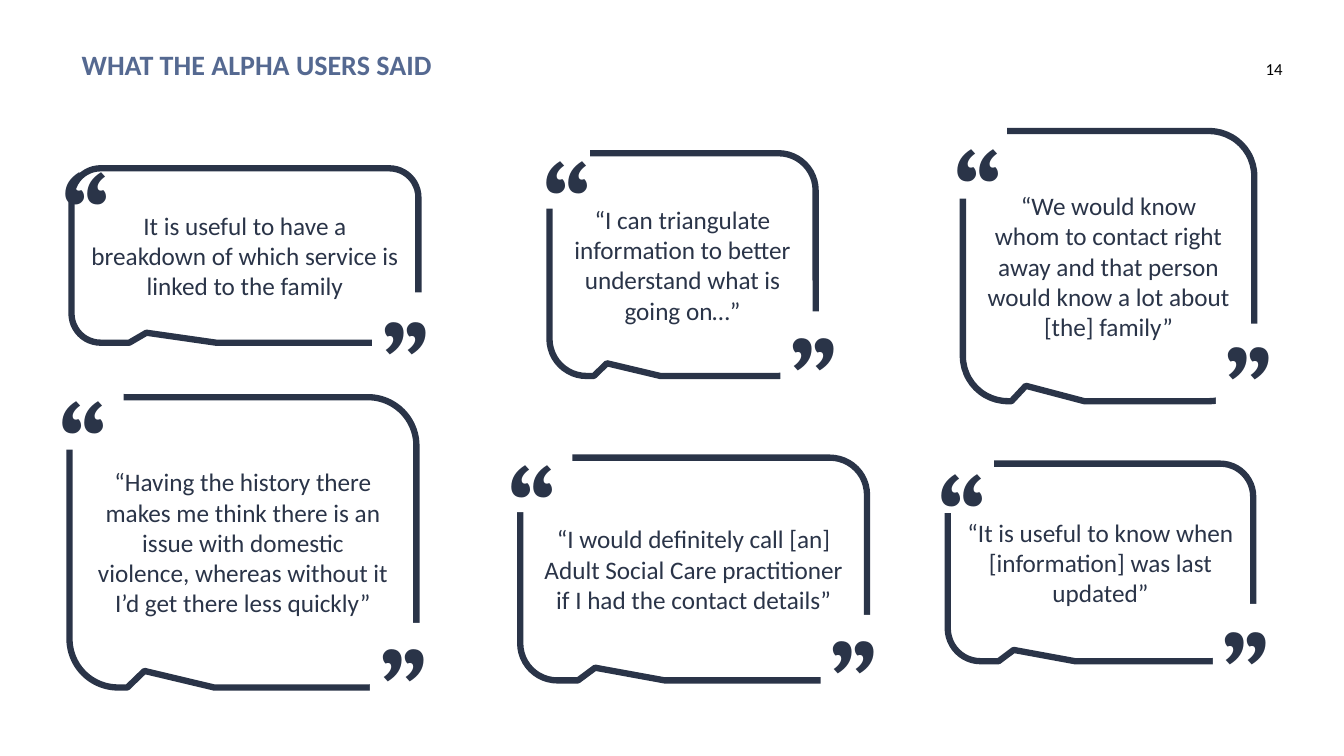
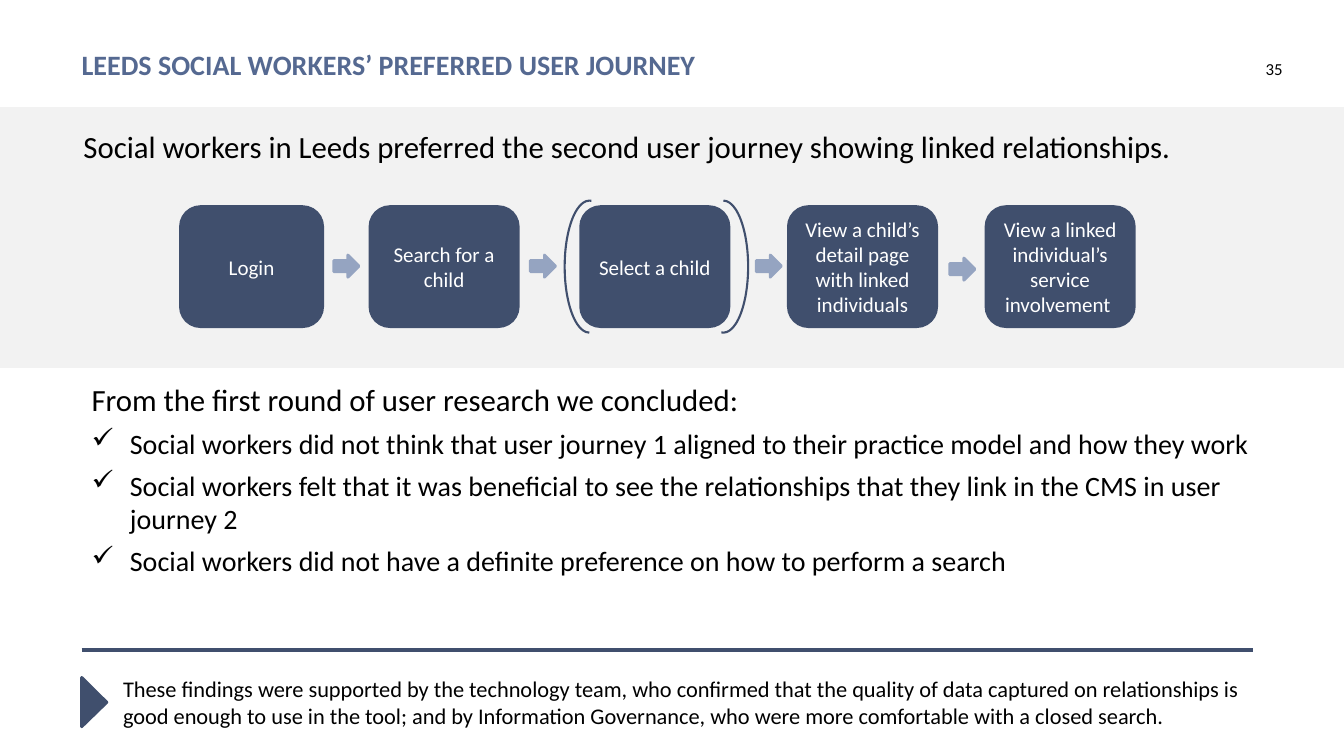
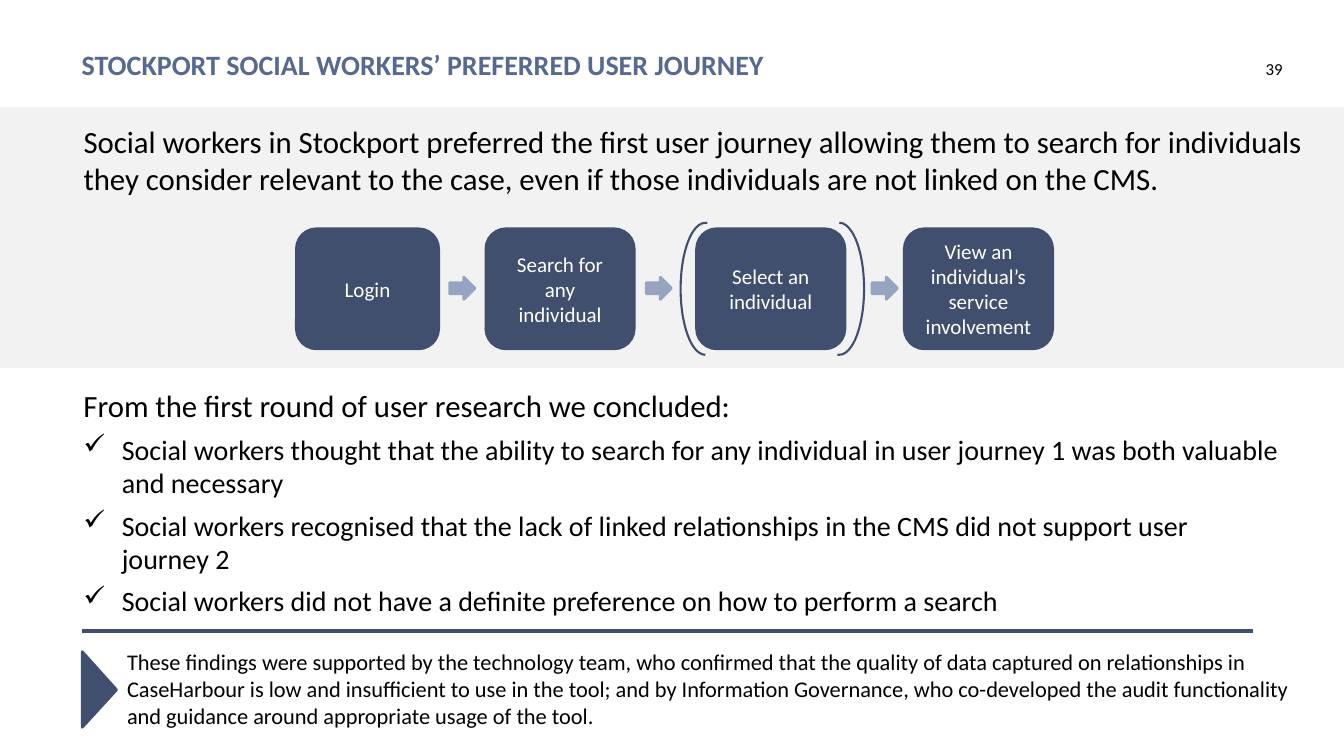
from dataclasses import dataclass

from lxml import etree
from pptx import Presentation
from pptx.dml.color import RGBColor
from pptx.enum import shapes, text
from pptx.oxml import ns
from pptx.util import Inches, Pt


@dataclass(frozen=True)
class Theme:
    title: str = "556991"
    ink: str = "2A3448"
    navy: str = "404F6D"
    pale: str = "95A4C1"
    band: str = "F2F2F2"
    white: str = "FFFFFF"
    black: str = "000000"
    font: str = "Calibri"
    serif: str = "Cambria"
    mark: int = 88
    lead: int = 22
    head: int = 20
    body: int = 18
    note: int = 16
    step: int = 15
    page: int = 12


T = Theme()
KIND = shapes.MSO_SHAPE
MID = text.MSO_ANCHOR.MIDDLE
TOP = text.MSO_ANCHOR.TOP
LEFT, CENTER, RIGHT = text.PP_ALIGN.LEFT, text.PP_ALIGN.CENTER, text.PP_ALIGN.RIGHT

# Bubble box, words, corners of the two marks, patch height, and how far
# each patch sits below its mark (None: the outline stays closed there).
QUOTES = [
    ((0.71, 1.67, 3.44, 1.73),
     "It is useful to have a breakdown of which service is linked to the family",
     (0.5, 1.3), (3.69, 2.79), 0.58, (None, 0.11)),
    ((0.69, 3.94, 3.44, 2.88),
     "“Having the history there makes me think there is an issue with domestic "
     "violence, whereas without it I’d get there less quickly”",
     (0.47, 3.58), (3.67, 6.04), 0.74, (0.14, 0.14)),
    ((5.45, 1.52, 2.64, 2.21),
     "“I can triangulate information to better understand what is going on…”",
     (5.27, 1.19), (7.74, 2.95), 0.74, (0.14, 0.14)),
    ((9.4, 4.6, 3.03, 1.96),
     "“It is useful to know when [information] was last updated”",
     (9.19, 4.3), (12.03, 5.87), 0.66, (0.13, 0.12)),
    ((9.55, 1.3, 2.89, 2.68),
     "“We would know whom to contact right away and that person would know a "
     "lot about [the] family”",
     (9.35, 1.07), (12.06, 3.04), 0.9, (0, 0.17)),
    ((5.16, 4.54, 3.44, 2.21),
     "“I would definitely call [an] Adult Social Care practitioner if I had the "
     "contact details”",
     (4.92, 4.21), (8.14, 5.96), 0.74, (0.13, 0.14)),
]

OPENER = "From the first round of user research we concluded:"
SEARCH = "Social workers did not have a definite preference on how to perform a search"

JOURNEYS = [
    dict(
        title="LEEDS SOCIAL WORKERS’ PREFERRED USER JOURNEY", page=35,
        lead="Social workers in Leeds preferred the second user journey showing "
             "linked relationships.",
        lead_box=(0.73, 1.22, 11.7, 0.93),
        flow=(1.79, 2.05),
        steps=["Login", "Search for a child", "Select a child",
               "View a child’s detail page with linked individuals",
               "View a linked individual’s service involvement "],
        points=["Social workers did not think that user journey 1 aligned to their "
                "practice model and how they work",
                "Social workers felt that it was beneficial to see the relationships "
                "that they link in the CMS in user journey 2", SEARCH],
        points_box=(0.81, 3.73, 12.06, 2.46),
        rule=6.45, flag=(0.69, 6.84, 0.49, 0.25),
        note="These findings were supported by the technology team, who confirmed "
             "that the quality of data captured on relationships is good enough to "
             "use in the tool; and by Information Governance, who were more "
             "comfortable with a closed search.",
        note_box=(1.22, 6.7, 11.32, 0.54)),
    dict(
        title="STOCKPORT SOCIAL WORKERS’ PREFERRED USER JOURNEY", page=39,
        lead="Social workers in Stockport preferred the first user journey allowing "
             "them to search for individuals they consider relevant to the case, "
             "even if those individuals are not linked on the CMS.",
        lead_box=(0.73, 1.17, 12.29, 0.93),
        flow=(2.94, 2.27),
        steps=["Login", "Search for any individual", "Select an individual",
               "View an individual’s service involvement"],
        points=["Social workers thought that the ability to search for any individual "
                "in user journey 1 was both valuable and necessary",
                "Social workers recognised that the lack of linked relationships in "
                "the CMS did not support user journey 2", SEARCH],
        points_box=(0.73, 3.79, 12.06, 2.25),
        rule=6.26, flag=(0.61, 6.67, 0.75, 0.34),
        note="These findings were supported by the technology team, who confirmed "
             "that the quality of data captured on relationships in CaseHarbour is "
             "low and insufficient to use in the tool; and by Information "
             "Governance, who co-developed the audit functionality and guidance "
             "around appropriate usage of the tool.",
        note_box=(1.26, 6.43, 11.75, 0.81)),
]

# Offsets from the left of the first step.
STEP_X = [0, 1.88, 3.97, 6.03, 7.99]
ARROW_X = [1.52, 3.47, 5.71, 7.63]
OPTION = 2  # the step in brackets


def rgb(code):
    return RGBColor.from_string(code)


def tick(para):
    props = para._p.get_or_add_pPr()
    props.set("marL", str(Inches(0.38)))
    props.set("indent", str(-Inches(0.38)))
    color = etree.SubElement(props, ns.qn("a:buClr"))
    etree.SubElement(color, ns.qn("a:srgbClr"), val=T.black)
    etree.SubElement(props, ns.qn("a:buChar"), char="✓")


def write(shape, words, size=T.body, color=T.black, font=T.font, bold=False,
          align=LEFT, anchor=TOP, inset=None, wrap=True, after=None, first=None):
    """Fill a shape; with first set, that is the lead size and the rest are ticked."""
    frame = shape.text_frame
    frame.word_wrap = wrap
    frame.vertical_anchor = anchor
    if inset is not None:
        frame.margin_left = frame.margin_right = Inches(inset)
        frame.margin_top = frame.margin_bottom = Inches(inset)
    lines = [words] if isinstance(words, str) else words
    for i, line in enumerate(lines):
        para = frame.add_paragraph() if i else frame.paragraphs[0]
        para.alignment = align
        if after is not None:
            para.space_after = Pt(after)
        if first and i:
            tick(para)
        run = para.add_run()
        run.text = line
        run.font.name = font
        run.font.size = Pt(first if first and not i else size)
        run.font.bold = bold
        run.font.color.rgb = rgb(color)


def label(slide, box, words, **fmt):
    shape = slide.shapes.add_textbox(*map(Inches, box))
    write(shape, words, **fmt)
    return shape


def draw(slide, kind, box, fill=None, line=None, width=2, adj=(), turn=0):
    shape = slide.shapes.add_shape(kind, *map(Inches, box))
    shape.shadow.inherit = False
    shape.rotation = turn
    for i, value in enumerate(adj):
        shape.adjustments[i] = value
    if fill:
        shape.fill.solid()
        shape.fill.fore_color.rgb = rgb(fill)
    else:
        shape.fill.background()
    if line:
        shape.line.color.rgb = rgb(line)
        shape.line.width = Pt(width)
    else:
        shape.line.fill.background()
    return shape


def rule(slide, y):
    line = slide.shapes.add_connector(
        shapes.MSO_CONNECTOR.STRAIGHT,
        Inches(0.81), Inches(y), Inches(12.43), Inches(y))
    line.line.color.rgb = rgb(T.navy)
    line.line.width = Pt(3)
    etree.SubElement(line._element.spPr, ns.qn("a:effectLst"))


def start(deck, title, page, band=False):
    """Add a slide with the shared band, title and page number."""
    slide = deck.slides.add_slide(deck.slide_layouts[6])
    if band:
        draw(slide, KIND.RECTANGLE, (0, 1.08, 13.33, 2.56), T.band, T.band)
    label(slide, (0.81, 0.47, 10.64, 0.74), title, size=T.head,
          color=T.title, bold=True, inset=0)
    label(slide, (12.34, 0.58, 0.38, 0.4), str(page), size=T.page,
          align=RIGHT, inset=0)
    return slide


def quote(slide, box, words, head, tail, high, drops):
    bubble = draw(slide, KIND.ROUNDED_RECTANGULAR_CALLOUT, box, line=T.ink,
                  width=4.5, adj=(-0.284, 0.443, 0.167))
    write(bubble, words, color=T.ink, align=CENTER, anchor=MID)
    wide = 0.22 * box[2]
    for mark, (x, y), drop in zip("“”", (head, tail), drops):
        if drop is not None:
            draw(slide, KIND.RECTANGLE, (x, y + drop, wide, high), T.white)
        label(slide, (x, y, 0.2 * box[2], 1.58), mark, size=T.mark, color=T.ink,
              font=T.serif, bold=True, align=CENTER, wrap=False)


def flow(slide, left, top, steps):
    for i, (dx, words) in enumerate(zip(STEP_X, steps)):
        wide = 1.47 if i else 1.41
        step = draw(slide, KIND.ROUNDED_RECTANGLE, (left + dx, top, wide, 1.19),
                    T.navy, T.navy)
        write(step, words, size=T.step, color=T.white, align=CENTER, anchor=MID)
    for dx, turn in ((-0.16, 180), (1.17, 0)):
        draw(slide, KIND.ARC, (left + STEP_X[OPTION] + dx, top - 0.06, 0.49, 1.31),
             line=T.navy, width=1.5, adj=(162, 55.064), turn=turn)
    for i, dx in enumerate(ARROW_X[:len(steps) - 1]):
        drop = 0.51 if i == 3 else 0.48
        draw(slide, KIND.RIGHT_ARROW, (left + dx, top + drop, 0.25, 0.22),
             T.pale, T.pale)


def journey(deck, item):
    slide = start(deck, item["title"], item["page"], band=True)
    label(slide, item["lead_box"], item["lead"], size=T.lead)
    flow(slide, *item["flow"], item["steps"])
    label(slide, item["points_box"], [OPENER] + item["points"], size=T.head,
          first=T.lead, after=6)
    rule(slide, item["rule"])
    draw(slide, KIND.ISOSCELES_TRIANGLE, item["flag"], T.navy, T.navy,
         adj=(0.505,), turn=90)
    label(slide, item["note_box"], item["note"], size=T.note, inset=0)


def main():
    deck = Presentation()
    deck.slide_width, deck.slide_height = Inches(13.33), Inches(7.5)
    slide = start(deck, "WHAT THE ALPHA USERS SAID", 14)
    for row in QUOTES:
        quote(slide, *row)
    for item in JOURNEYS:
        journey(deck, item)
    deck.save("out.pptx")


if __name__ == "__main__":
    main()
